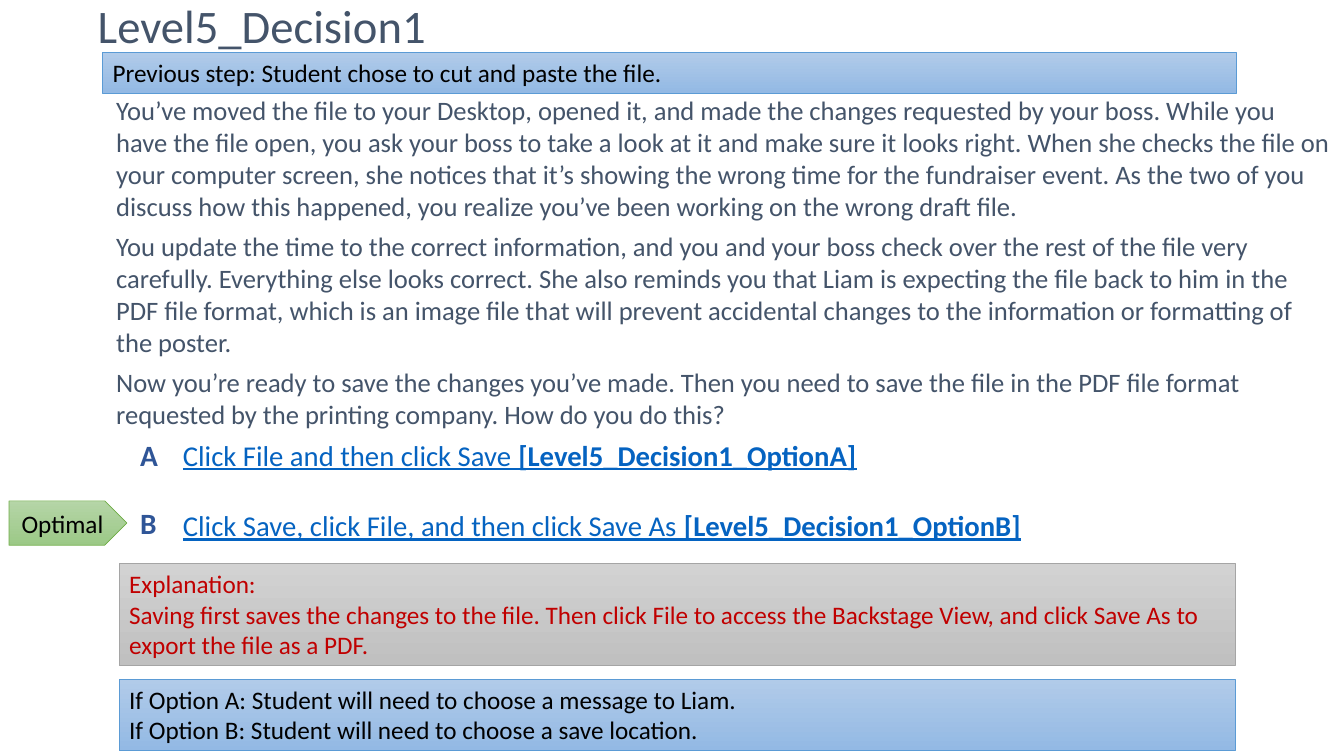
from pptx import Presentation
from pptx.dml.color import RGBColor
from pptx.enum.shapes import MSO_SHAPE
from pptx.enum.text import MSO_ANCHOR, MSO_AUTO_SIZE, PP_ALIGN
from pptx.util import Pt

FONT = "Calibri"
SLATE = RGBColor(0x44, 0x54, 0x6A)
LINK_BLUE = RGBColor(0x05, 0x63, 0xC1)
LETTER_BLUE = RGBColor(0x2F, 0x55, 0x97)
RED = RGBColor(0xC0, 0x00, 0x00)
BLACK = RGBColor(0x00, 0x00, 0x00)

# Each scheme: gradient top, gradient bottom, outline
BLUE = (RGBColor(0xB1, 0xCB, 0xE9), RGBColor(0x93, 0xB9, 0xE4), RGBColor(0x5B, 0x9B, 0xD5))
GRAY = (RGBColor(0xD2, 0xD2, 0xD2), RGBColor(0xC0, 0xC0, 0xC0), RGBColor(0xA5, 0xA5, 0xA5))
GREEN = (RGBColor(0xB5, 0xD5, 0xA7), RGBColor(0x9C, 0xC9, 0x87), RGBColor(0x70, 0xAD, 0x47))

RECT = MSO_SHAPE.RECTANGLE
PENTAGON = MSO_SHAPE.PENTAGON
LEFT, CENTER = PP_ALIGN.LEFT, PP_ALIGN.CENTER
TOP, MIDDLE = MSO_ANCHOR.TOP, MSO_ANCHOR.MIDDLE
NO_AUTOFIT = MSO_AUTO_SIZE.NONE

STORY = [
    "You’ve moved the file to your Desktop, opened it, and made the changes requested by your boss. "
    "While you have the file open, you ask your boss to take a look at it and make sure it looks right. "
    "When she checks the file on your computer screen, she notices that it’s showing the wrong time for "
    "the fundraiser event. As the two of you discuss how this happened, you realize you’ve been working "
    "on the wrong draft file.",
    "You update the time to the correct information, and you and your boss check over the rest of the "
    "file very carefully. Everything else looks correct. She also reminds you that Liam is expecting the "
    "file back to him in the PDF file format, which is an image file that will prevent accidental changes "
    "to the information or formatting of the poster.",
    "Now you’re ready to save the changes you’ve made. Then you need to save the file in the PDF file "
    "format requested by the printing company. How do you do this?",
]
OPTIONS = [
    ("Click File and then click Save ", "[Level5_Decision1_OptionA]"),
    ("Click Save, click File, and then click Save As ", "[Level5_Decision1_OptionB]"),
]
EXPLANATION = [
    "Explanation:",
    "Saving first saves the changes to the file. Then click File to access the Backstage View, "
    "and click Save As to export the file as a PDF.",
]
NEXT_STEPS = [
    "If Option A: Student will need to choose a message to Liam.",
    "If Option B: Student will need to choose a save location.",
]


def style(font, size, color, bold=False, underline=False):
    font.name = FONT
    font.size = Pt(size)
    font.color.rgb = color
    font.bold = bold
    font.underline = underline


def place(sp, left, top, width, height):
    sp.left, sp.top, sp.width, sp.height = Pt(left), Pt(top), Pt(width), Pt(height)


def set_title(slide, text):
    title = slide.shapes.title
    place(title, 62.6, 0.7, 820, 39.6)
    tf = title.text_frame
    tf.text = text
    tf.auto_size = NO_AUTOFIT
    tf.vertical_anchor = MIDDLE
    p = tf.paragraphs[0]
    p.alignment = LEFT
    p.line_spacing = 0.9
    style(p.runs[0].font, 33.3, SLATE)


def add_text_box(slide, left, top, width, height):
    """Add an empty wrapping text box and return its text frame."""
    tf = slide.shapes.add_textbox(Pt(left), Pt(top), Pt(width), Pt(height)).text_frame
    tf.word_wrap = True
    tf.margin_left = tf.margin_right = Pt(9.4)
    tf.margin_top = tf.margin_bottom = Pt(5)
    return tf


def write_lines(tf, lines, size, color, bold=False, align=LEFT, space_after=0):
    tf.text = "\n".join(lines)
    for p in tf.paragraphs:
        p.alignment = align
        p.space_after = Pt(space_after)
        style(p.runs[0].font, size, color, bold)


def write_options(tf, options):
    for i, (action, target) in enumerate(options):
        p = tf.add_paragraph() if i else tf.paragraphs[0]
        if i:
            p.space_before = Pt(25.5)
        for text, bold in ((action, False), (target, True)):
            r = p.add_run()
            r.text = text
            style(r.font, 20.5, LINK_BLUE, bold, underline=True)


def add_panel(slide, kind, box, scheme, lines, color=BLACK, align=LEFT, anchor=TOP):
    """Add an outlined shape with a vertical gradient and text."""
    sp = slide.shapes.add_shape(kind, *map(Pt, box))
    sp.shadow.inherit = False
    first, last, outline = scheme
    sp.fill.gradient()
    sp.fill.gradient_angle = 270
    for stop, shade in zip(sp.fill.gradient_stops, (first, last)):
        stop.color.rgb = shade
    sp.line.color.rgb = outline
    sp.line.width = Pt(0.5)
    tf = sp.text_frame
    tf.word_wrap = True
    tf.vertical_anchor = anchor
    write_lines(tf, lines, 18, color, align=align)


def main():
    prs = Presentation()
    prs.slide_width, prs.slide_height = Pt(960), Pt(540)
    slide = prs.slides.add_slide(prs.slide_layouts[5])

    set_title(slide, "Level5_Decision1")
    write_lines(add_text_box(slide, 73.6, 62, 887, 252), STORY, 19, SLATE, space_after=6)
    write_options(add_text_box(slide, 121.2, 307.4, 821.5, 106.6), OPTIONS)
    for letter, top in (("A", 307.4), ("B", 355.7)):
        write_lines(add_text_box(slide, 90.7, top, 50, 32), [letter], 21, LETTER_BLUE, bold=True)

    add_panel(slide, PENTAGON, (6.5, 357.8, 84.2, 31.7), GREEN, ["Optimal"],
              align=CENTER, anchor=MIDDLE)
    add_panel(slide, RECT, (85.2, 485.4, 797, 50.9), BLUE, NEXT_STEPS)
    add_panel(slide, RECT, (85.2, 402.7, 797, 72.7), GRAY, EXPLANATION, RED)
    add_panel(slide, RECT, (73.4, 37.6, 810, 29), BLUE,
              ["Previous step: Student chose to cut and paste the file."])

    prs.save("out.pptx")


if __name__ == "__main__":
    main()
